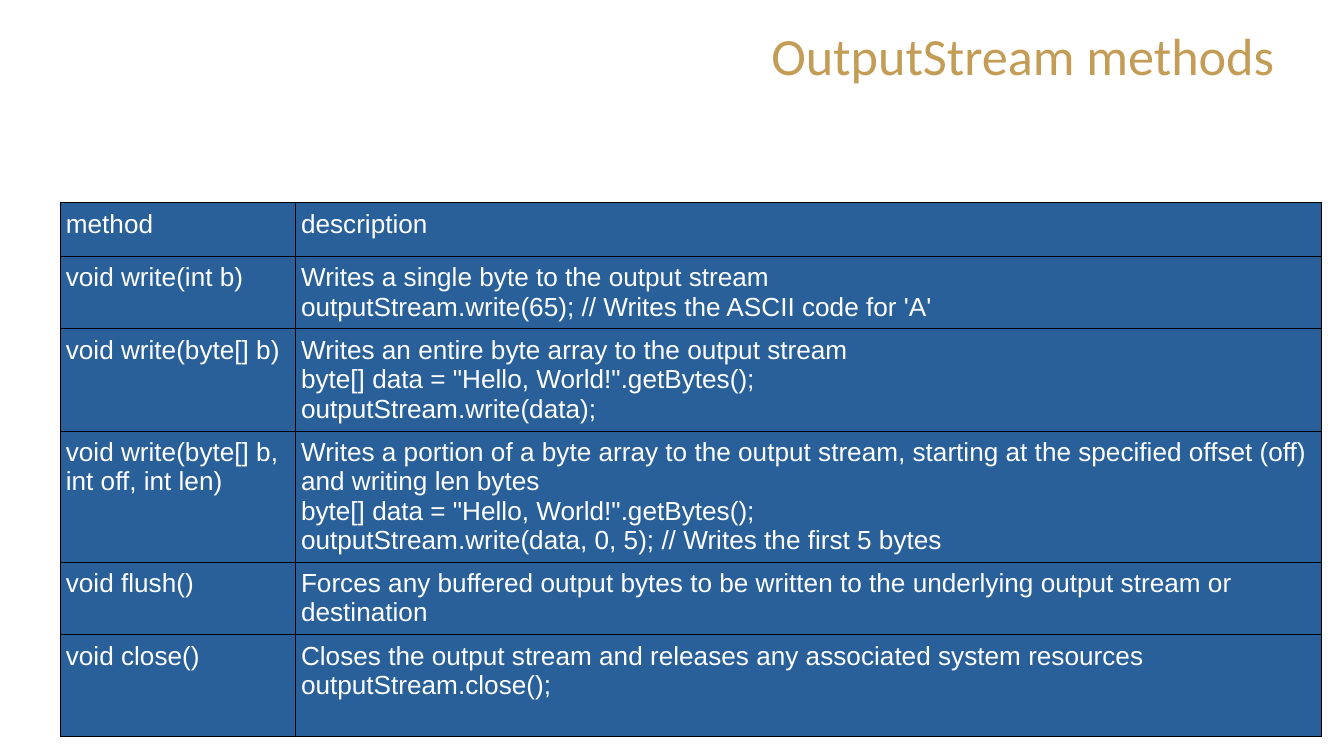
from lxml import etree
from pptx import Presentation
from pptx import util as u
from pptx.dml.color import RGBColor
from pptx.enum import text
from pptx.oxml.ns import qn

COLORS = {"title": "C39C55", "cell": "2A6099", "text": "FFFFFF", "border": "000000"}
SIZE = (u.Inches(10), u.Inches(10) * 9 // 16)
TITLE_BOX = (0.065, -0.002, 0.893, 0.148)
TABLE_BOX = (0.045, 0.268, 0.938, 0.706)
COLUMNS = (1.75, 7.63)
ROWS = (0.4, 0.54, 0.76, 0.97, 0.54, 0.76)
TITLE_FONT = {"name": "Calibri", "size": u.Pt(28), "bold": False}
CELL_FONT = {"name": "Arial", "size": u.Pt(14), "bold": False}
TITLE_FRAME = {
    "word_wrap": True,
    "auto_size": text.MSO_AUTO_SIZE.NONE,
    "vertical_anchor": text.MSO_ANCHOR.MIDDLE,
    "margin_left": u.Inches(0.1),
    "margin_right": u.Inches(0.1),
    "margin_top": u.Inches(0.05),
    "margin_bottom": u.Inches(0.05),
}
CELL_FORMAT = {
    "margin_left": u.Inches(0.04),
    "margin_right": u.Inches(0.04),
    "margin_top": u.Inches(0.05),
    "margin_bottom": u.Inches(0.05),
    "vertical_anchor": text.MSO_ANCHOR.TOP,
}
METHODS = [
    ("method", "description"),
    ("void write(int b)",
     "Writes a single byte to the output stream\n"
     "outputStream.write(65); // Writes the ASCII code for 'A'"),
    ("void write(byte[] b)",
     "Writes an entire byte array to the output stream\n"
     'byte[] data = "Hello, World!".getBytes();\n'
     "outputStream.write(data);"),
    ("void write(byte[] b, int off, int len)",
     "Writes a portion of a byte array to the output stream, "
     "starting at the specified offset (off) and writing len bytes\n"
     'byte[] data = "Hello, World!".getBytes();\n'
     "outputStream.write(data, 0, 5); // Writes the first 5 bytes"),
    ("void flush()",
     "Forces any buffered output bytes to be written to the underlying "
     "output stream or destination"),
    ("void close()",
     "Closes the output stream and releases any associated system resources\n"
     "outputStream.close();"),
]


def apply(obj, values):
    for key, value in values.items():
        setattr(obj, key, value)


def place(box):
    return [round(share * SIZE[i % 2]) for i, share in enumerate(box)]


def set_text(tf, content, font, color, align):
    tf.text = content
    for p in tf.paragraphs:
        p.alignment = align
        for r in p.runs:
            apply(r.font, font)
            r.font.color.rgb = RGBColor.from_string(COLORS[color])


def set_borders(cell):
    tc_pr = cell._tc.get_or_add_tcPr()
    for i, side in enumerate(("lnL", "lnR", "lnT", "lnB")):
        ln = etree.Element(qn(f"a:{side}"), w=str(int(u.Pt(0.57))))
        fill = etree.SubElement(ln, qn("a:solidFill"))
        etree.SubElement(fill, qn("a:srgbClr"), val=COLORS["border"])
        tc_pr.insert(i, ln)


def add_title(s, box, content):
    sp = s.shapes.title
    apply(sp, dict(zip(("left", "top", "width", "height"), place(box))))
    apply(sp.text_frame, TITLE_FRAME)
    set_text(sp.text_frame, content, TITLE_FONT, "title", text.PP_ALIGN.RIGHT)


def add_methods(s, box, methods):
    left, top, width, height = place(box)
    table = s.shapes.add_table(len(ROWS), len(COLUMNS), left, top, width, height).table
    apply(table, {"first_row": False, "horz_banding": False})
    for col, share in zip(table.columns, COLUMNS):
        col.width = round(width * share / sum(COLUMNS))
    for row, share, contents in zip(table.rows, ROWS, methods):
        row.height = round(height * share / sum(ROWS))
        for cell, content in zip(row.cells, contents):
            apply(cell, CELL_FORMAT)
            cell.fill.solid()
            cell.fill.fore_color.rgb = RGBColor.from_string(COLORS["cell"])
            set_borders(cell)
            set_text(cell.text_frame, content, CELL_FONT, "text", text.PP_ALIGN.LEFT)


def main():
    prs = Presentation()
    prs.slide_width, prs.slide_height = SIZE
    s = prs.slides.add_slide(prs.slide_layouts[5])
    add_title(s, TITLE_BOX, "OutputStream methods")
    add_methods(s, TABLE_BOX, METHODS)
    prs.save("out.pptx")


if __name__ == "__main__":
    main()
